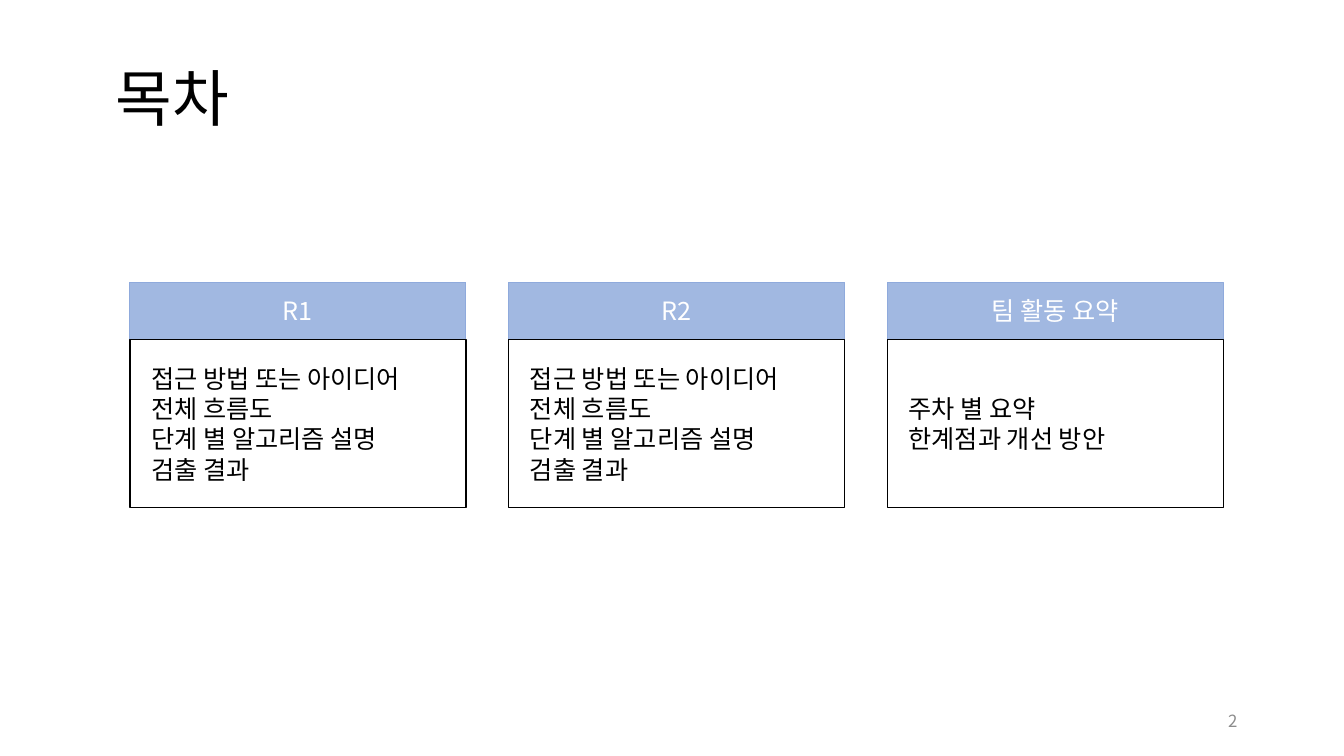
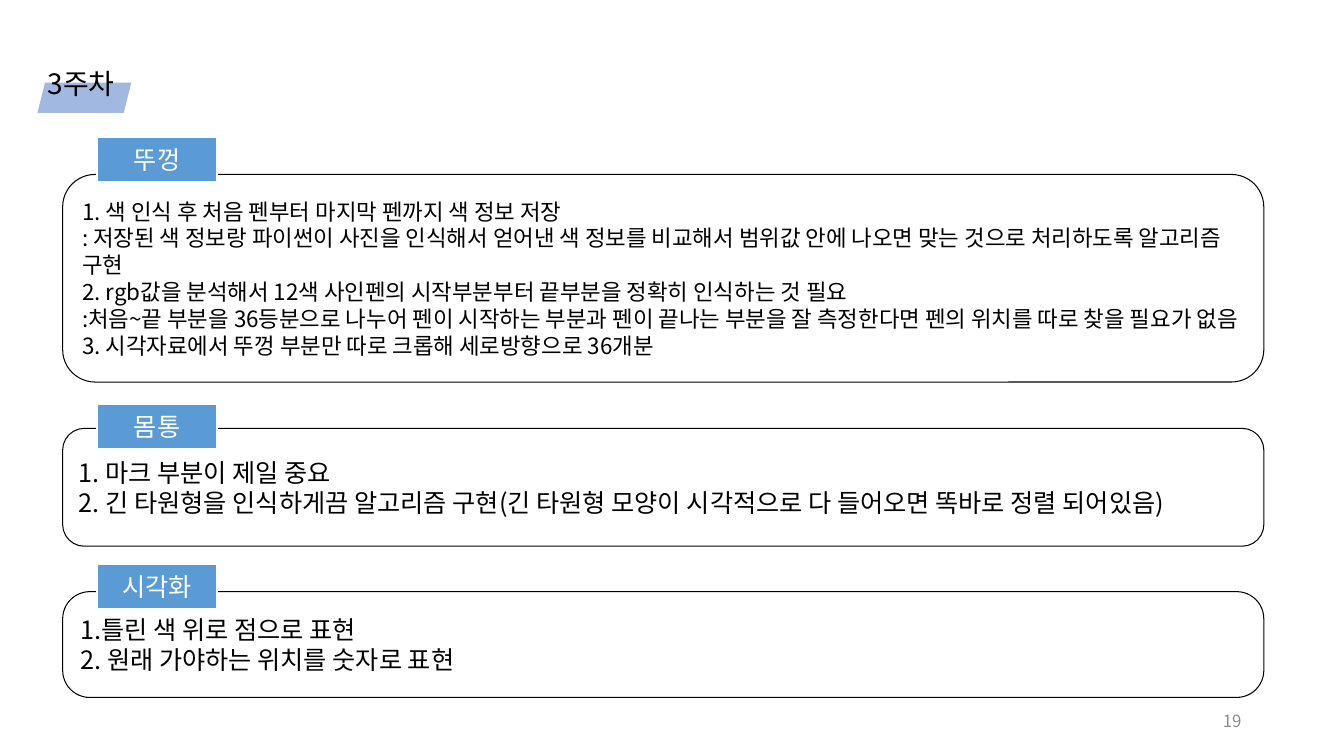
from lxml.etree import SubElement
from pptx import Presentation
from pptx.dml.color import RGBColor
from pptx.enum.shapes import MSO_SHAPE
from pptx.enum.text import MSO_ANCHOR, MSO_AUTO_SIZE, PP_ALIGN
from pptx.oxml.ns import qn
from pptx.util import Pt

FONT = "Noto Sans CJK KR"
COLORS = {
    "text": "000000",
    "white": "FFFFFF",
    "number": "8C8C8C",
    "accent": "4472C4",
    "accent_line": "8FAADC",
    "label": "5B9BD5",
}

APPROACH = ["접근 방법 또는 아이디어", "전체 흐름도", "단계 별 알고리즘 설명", "검출 결과"]
CONTENTS = [
    ("R1", APPROACH),
    ("R2", APPROACH),
    ("팀 활동 요약", ["주차 별 요약", "한계점과 개선 방안"]),
]

# label, label top, box top, box height, corner radius, text size, lines
SECTIONS = [
    ("뚜껑", 98, 124.6, 148.3, 23.2, 16, [
        "1. 색 인식 후 처음 펜부터 마지막 펜까지 색 정보 저장",
        ": 저장된 색 정보랑 파이썬이 사진을 인식해서 얻어낸 색 정보를 비교해서 "
        "범위값 안에 나오면 맞는 것으로 처리하도록 알고리즘 구현",
        "2. rgb값을 분석해서 12색 사인펜의 시작부분부터 끝부분을 정확히 인식하는 것 필요",
        ":처음~끝 부분을 36등분으로 나누어 펜이 시작하는 부분과 펜이 끝나는 부분을 "
        "잘 측정한다면 펜의 위치를 따로 찾을 필요가 없음",
        "3. 시각자료에서 뚜껑 부분만 따로 크롭해 세로방향으로 36개분",
    ]),
    ("몸통", 288.7, 306, 84.2, 15.5, 18, [
        "1. 마크 부분이 제일 중요",
        "2. 긴 타원형을 인식하게끔 알고리즘 구현"
        "(긴 타원형 모양이 시각적으로 다 들어오면 똑바로 정렬 되어있음)",
    ]),
    ("시각화", 402.5, 422.6, 75.6, 19.4, 18, [
        "1.틀린 색 위로 점으로 표현",
        "2. 원래 가야하는 위치를 숫자로 표현",
    ]),
]


def rgb(name):
    return RGBColor.from_string(COLORS[name])


def write(sp, lines, size, color="text", align=PP_ALIGN.LEFT, spacing=None):
    """Fill a shape with one paragraph per line, centred vertically."""
    tf = sp.text_frame
    tf.word_wrap = True
    tf.auto_size = MSO_AUTO_SIZE.NONE
    tf.vertical_anchor = MSO_ANCHOR.MIDDLE
    tf.text = "\n".join(lines)
    for p in tf.paragraphs:
        p.alignment = align
        p.line_spacing = spacing
        p.font.size = Pt(size)
        p.font.color.rgb = rgb(color)
        p.font.name = FONT
        SubElement(p.font._element, qn("a:ea"), typeface=FONT)


def add_box(slide, kind, box, fill=None, line=None, width=0.75, alpha=None):
    """Add a preset shape; box is left, top, width, height; alpha is a percentage."""
    sp = slide.shapes.add_shape(kind, *map(Pt, box))
    sp.shadow.inherit = False
    if fill:
        sp.fill.solid()
        sp.fill.fore_color.rgb = rgb(fill)
    else:
        sp.fill.background()
    if alpha:
        clr = sp.fill._xPr.find(qn("a:solidFill"))[0]
        SubElement(clr, qn("a:alpha"), val=str(alpha * 1000))
    if line:
        sp.line.color.rgb = rgb(line)
        sp.line.width = Pt(width)
    else:
        sp.line.fill.background()
    return sp


def add_slide(prs, title, box, size, number, number_left):
    slide = prs.slides.add_slide(prs.slide_layouts.get_by_name("Title Only"))
    sp = slide.shapes.title
    sp.left, sp.top, sp.width, sp.height = map(Pt, box)
    write(sp, [title], size, spacing=0.9)
    num = slide.shapes.add_textbox(Pt(number_left), Pt(500.5), Pt(216), Pt(28.8))
    write(num, [str(number)], 12, "number", PP_ALIGN.RIGHT)
    return slide


def add_column(slide, left, heading, lines):
    head = add_box(slide, MSO_SHAPE.RECTANGLE, (left, 201.6, 240, 41),
                   "accent", "accent_line", alpha=50)
    write(head, [heading], 18, "white", PP_ALIGN.CENTER)
    body = add_box(slide, MSO_SHAPE.RECTANGLE, (left, 242.6, 240, 120), "white", "text", 1)
    write(body, lines, 18)
    body.text_frame.margin_left = Pt(15.2)


def add_section(slide, label, label_top, top, height, radius, size, lines):
    """Add a rounded text box with a label over its top edge."""
    body = add_box(slide, MSO_SHAPE.ROUNDED_RECTANGLE, (44.8, top, 858, height), line="text")
    body.adjustments[0] = radius / height
    write(body, lines, size)
    tab = add_box(slide, MSO_SHAPE.RECTANGLE, (69.4, label_top, 85.7, 32.4),
                  "label", "white", 1.5)
    write(tab, [label], 18, "white", PP_ALIGN.CENTER)


def main():
    prs = Presentation()
    prs.slide_width, prs.slide_height = Pt(960), Pt(540)

    slide = add_slide(prs, "목차", (75.6, 20.2, 828, 104.4), 44, 2, 675)
    for i, (heading, lines) in enumerate(CONTENTS):
        add_column(slide, 92.8 + 270.5 * i, heading, lines)

    slide = add_slide(prs, "3주차", (26.8, 44.6, 67, 33.1), 20, 19, 678)
    band = add_box(slide, MSO_SHAPE.PARALLELOGRAM, (26.8, 59, 67, 21.6), "accent", alpha=50)
    slide.shapes.title._element.addprevious(band._element)
    for section in SECTIONS:
        add_section(slide, *section)

    prs.save("out.pptx")


if __name__ == "__main__":
    main()
